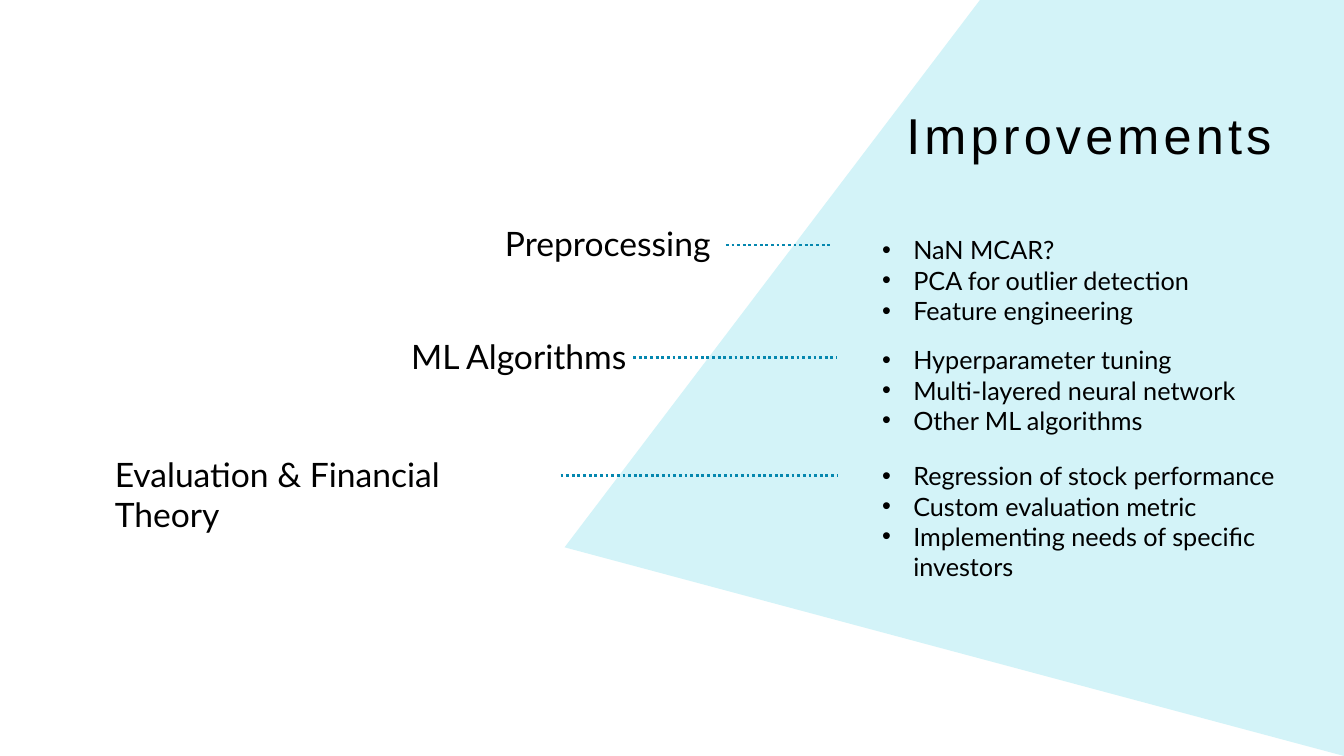
import dataclasses

import pptx
import pptx.dml.color
import pptx.enum.dml
import pptx.enum.shapes
import pptx.enum.text
import pptx.oxml.ns
import pptx.oxml.xmlchemy
import pptx.presentation
import pptx.shapes.autoshape
import pptx.slide
import pptx.util
from lxml import etree

PX = 9144  # EMU per px, 100 px to the inch

WHITE = pptx.dml.color.RGBColor(0xFF, 0xFF, 0xFF)
BLACK = pptx.dml.color.RGBColor(0x00, 0x00, 0x00)
PALE_BLUE = pptx.dml.color.RGBColor(0xD3, 0xF3, 0xF8)
TEAL = pptx.dml.color.RGBColor(0x05, 0x87, 0xAF)

LABEL_HEIGHT = 54
LIST_LEFT = 865
LIST_HEIGHT = 131
BULLET_INDENT = 31


@dataclasses.dataclass(frozen=True)
class Topic:
    label: str
    label_left: int
    label_top: int
    label_width: int
    line_start: int
    line_end: int
    list_top: int
    list_width: int
    ideas: tuple[str, ...]


TOPICS = (
    Topic("Preprocessing", 491, 216, 229, 720, 825, 228, 328,
          ("NaN MCAR?", "PCA for outlier detection", "Feature engineering")),
    Topic("ML Algorithms", 398, 328, 288, 628, 830, 337, 411,
          ("Hyperparameter tuning", "Multi-layered neural network",
           "Other ML algorithms")),
    Topic("Evaluation & Financial Theory", 104, 445, 447, 556, 830, 452, 435,
          ("Regression of stock performance", "Custom evaluation metric",
           "Implementing needs of specific investors")),
)


def px(length: int) -> pptx.util.Emu:
    return pptx.util.Emu(length * PX)


def add_text(
    slide: pptx.slide.Slide,
    lines: tuple[str, ...],
    box: tuple[int, int, int, int],
    *,
    size: int,
    font: str = "Lato",
    bulleted: bool = False,
    letter_spacing: int = 0,
    line_spacing: float | None = None,
    align: pptx.enum.text.PP_ALIGN | None = None,
    anchor: pptx.enum.text.MSO_ANCHOR = pptx.enum.text.MSO_ANCHOR.TOP,
) -> pptx.shapes.autoshape.Shape:
    shape = slide.shapes.add_textbox(*map(px, box))
    frame = shape.text_frame
    frame.word_wrap = True
    frame.vertical_anchor = anchor
    for index, line in enumerate(lines):
        paragraph = frame.add_paragraph() if index else frame.paragraphs[0]
        if bulleted:
            add_bullet(paragraph)
        paragraph.alignment = align
        if line_spacing is not None:
            paragraph.line_spacing = line_spacing
        run = paragraph.add_run()
        run.text = line
        run.font.size = pptx.util.Pt(size)
        run.font.name = font
        run.font.color.rgb = BLACK
        if letter_spacing:
            run.font._element.set("spc", str(letter_spacing * 100))
    return shape


def add_bullet(paragraph: pptx.text.text._Paragraph) -> None:
    properties = paragraph._p.get_or_add_pPr()
    properties.set("marL", str(px(BULLET_INDENT)))
    properties.set("indent", str(-px(BULLET_INDENT)))
    bullet_font = etree.SubElement(properties, pptx.oxml.ns.qn("a:buFont"))
    bullet_font.set("typeface", "Arial")
    bullet = etree.SubElement(properties, pptx.oxml.ns.qn("a:buChar"))
    bullet.set("char", "•")


def add_background_panel(slide: pptx.slide.Slide) -> None:
    builder = slide.shapes.build_freeform(1333, 750, scale=PX)
    builder.add_line_segments([(560, 543), (972, 0), (1333, 0)], close=True)
    panel = builder.convert_to_shape()
    panel.shadow.inherit = False
    panel.fill.solid()
    panel.fill.fore_color.rgb = PALE_BLUE
    panel.line.fill.background()


def add_topic(slide: pptx.slide.Slide, topic: Topic) -> None:
    label = add_text(
        slide, (topic.label,),
        (topic.label_left, topic.label_top, topic.label_width, LABEL_HEIGHT),
        size=24)

    # Dotted line level with the middle of the label
    middle = topic.label_top + LABEL_HEIGHT // 2
    connector = slide.shapes.add_connector(
        pptx.enum.shapes.MSO_CONNECTOR.STRAIGHT,
        px(topic.line_start), px(middle), px(topic.line_end), px(middle))
    connector.line.color.rgb = TEAL
    connector.line.width = pptx.util.Pt(2)
    connector.line.dash_style = pptx.enum.dml.MSO_LINE.ROUND_DOT
    etree.SubElement(connector._element.spPr, pptx.oxml.ns.qn("a:effectLst"))
    if topic.line_start == topic.label_left + topic.label_width:
        connector.begin_connect(label, 3)

    add_text(slide, topic.ideas,
             (LIST_LEFT, topic.list_top, topic.list_width, LIST_HEIGHT),
             size=18, bulleted=True)


def main() -> None:
    presentation = pptx.Presentation()
    presentation.slide_width = px(1333)
    presentation.slide_height = px(750)
    slide = presentation.slides.add_slide(presentation.slide_layouts[6])
    slide.background.fill.solid()
    slide.background.fill.fore_color.rgb = WHITE

    add_background_panel(slide)

    # Title
    add_text(slide, ("Improvements",), (889, 105, 435, 65), size=36,
             font="Arial", letter_spacing=3, line_spacing=0.9,
             align=pptx.enum.text.PP_ALIGN.JUSTIFY,
             anchor=pptx.enum.text.MSO_ANCHOR.MIDDLE)

    # Topics with their ideas
    for topic in TOPICS:
        add_topic(slide, topic)

    presentation.save("out.pptx")


if __name__ == "__main__":
    main()
